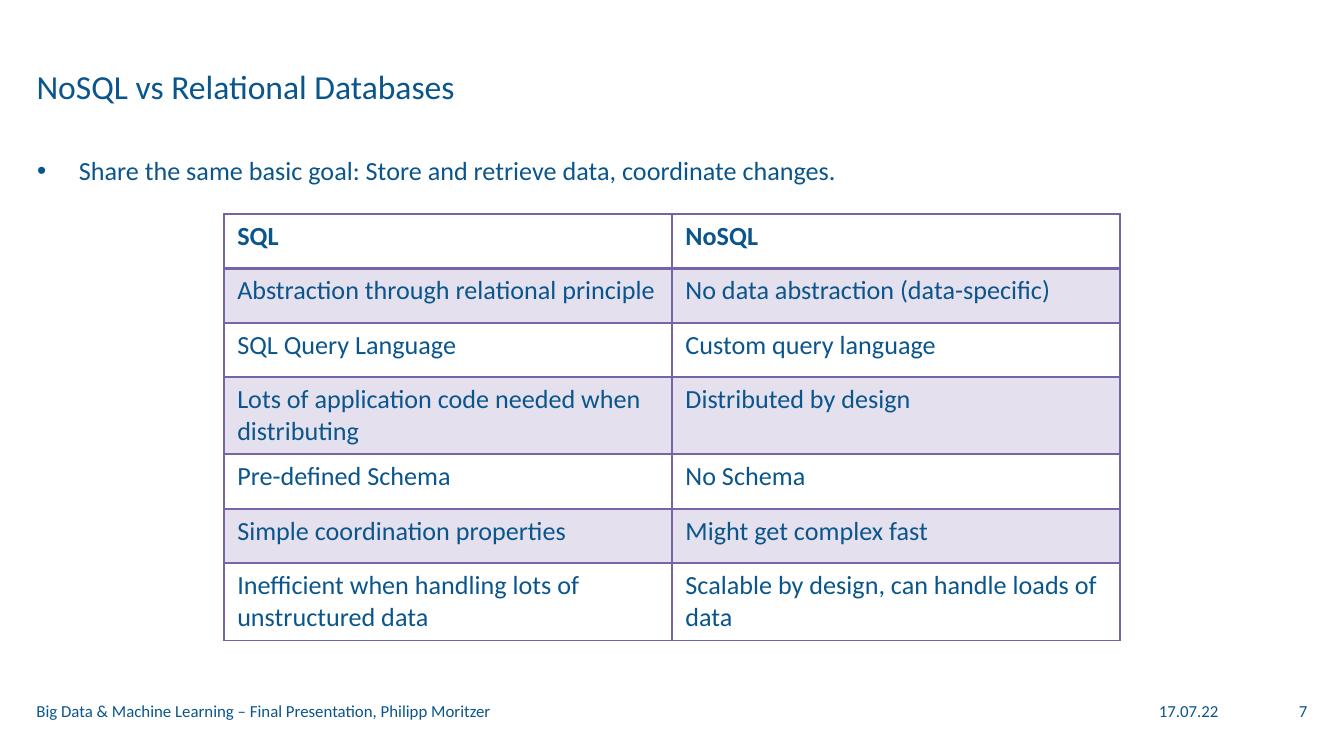
"""Build a slide that compares SQL and NoSQL databases in a table."""
from lxml.etree import SubElement
from pptx import Presentation
from pptx.dml.color import RGBColor
from pptx.enum.text import MSO_ANCHOR as Anchor, MSO_AUTO_SIZE as Auto, PP_ALIGN as Align
from pptx.oxml.ns import qn
from pptx.util import Cm, Pt

BLUE = RGBColor(0x0A, 0x55, 0x8C)
PURPLE = RGBColor(0x78, 0x64, 0xA5)
FONT = "Calibri"

TITLE = "NoSQL vs Relational Databases"
GOAL = "Share the same basic goal: Store and retrieve data, coordinate changes."
ROWS = [
    ("SQL", "NoSQL"),
    ("Abstraction through relational principle", "No data abstraction (data-specific)"),
    ("SQL Query Language", "Custom query language"),
    ("Lots of application code needed when distributing", "Distributed by design"),
    ("Pre-defined Schema", "No Schema"),
    ("Simple coordination properties", "Might get complex fast"),
    ("Inefficient when handling lots of unstructured data",
     "Scalable by design, can handle loads of data"),
]
FOOTER = [
    ("Big Data & Machine Learning – Final Presentation, Philipp Moritzer", 0.69, 18.9, Align.LEFT),
    ("17.07.22", 20.9, 2.13, Align.RIGHT),
    ("7", 23.62, 1.09, Align.RIGHT),
]
FOOT_TOP, FOOT_TALL = 13.23, 0.41
COL_WIDE, ROW_TALL = 8.47, 1.03
GRID_LEFT, GRID_TOP = 4.23, 4.04


def write(frame, text, size=14, bold=False, align=Align.LEFT):
    frame.word_wrap = True
    para = frame.paragraphs[0]
    para.alignment = align
    run = para.add_run()
    run.text = text
    font = run.font
    font.name, font.size, font.bold = FONT, Pt(size), bold
    font.color.rgb = BLUE
    return para


def place(shape, left, top, wide, tall, anchor=Anchor.TOP):
    shape.left, shape.top = Cm(left), Cm(top)
    shape.width, shape.height = Cm(wide), Cm(tall)
    frame = shape.text_frame
    frame.margin_left = frame.margin_right = frame.margin_top = frame.margin_bottom = 0
    frame.vertical_anchor = anchor
    frame.auto_size = Auto.NONE
    return frame


def bullet(para, indent):
    props = para._p.get_or_add_pPr()
    props.set("marL", str(indent))
    props.set("indent", str(-indent))
    SubElement(props, qn("a:buFont"), typeface="Arial")
    SubElement(props, qn("a:buChar"), char="•")


def border(cell, **widths):
    props = cell._tc.get_or_add_tcPr()
    for side, width in widths.items():
        line = SubElement(props, qn(f"a:ln{side}"), w=str(Pt(width)))
        fill = SubElement(line, qn("a:solidFill"))
        SubElement(fill, qn("a:srgbClr"), val=str(PURPLE))


def tint(cell, percent):
    cell.fill.solid()
    cell.fill.fore_color.rgb = PURPLE
    color = cell._tc.tcPr.find(f"{qn('a:solidFill')}/{qn('a:srgbClr')}")
    SubElement(color, qn("a:alpha"), val=str(percent * 1000))


def grid(slide):
    count, cols = len(ROWS), len(ROWS[0])
    table = slide.shapes.add_table(count, cols, Cm(GRID_LEFT), Cm(GRID_TOP),
                                   Cm(cols * COL_WIDE), Cm(count * ROW_TALL)).table
    table.horz_banding = False
    for row, texts in enumerate(ROWS):
        table.rows[row].height = Cm(ROW_TALL)
        for col, text in enumerate(texts):
            cell = table.cell(row, col)
            write(cell.text_frame, text, bold=row == 0)
            border(cell, L=1, R=1, T=2 if row == 1 else 1, B=2 if row == 0 else 1)
            if row % 2:
                tint(cell, 20)
            else:
                cell.fill.background()


def main():
    deck = Presentation()
    deck.slide_width, deck.slide_height = Cm(25.4), Cm(14.29)
    slide = deck.slides.add_slide(deck.slide_layouts[1])
    title, body = slide.placeholders
    write(place(title, 0.69, 1.24, 24, 1.5), TITLE, size=18)
    para = write(place(body, 0.7, 2.92, 24, 10), GOAL)
    para.space_before = Pt(2)
    bullet(para, Cm(0.79))
    grid(slide)
    for text, left, wide, align in FOOTER:
        box = slide.shapes.add_textbox(0, 0, 0, 0)
        frame = place(box, left, FOOT_TOP, wide, FOOT_TALL, Anchor.MIDDLE)
        write(frame, text, size=9, align=align)
    deck.save("out.pptx")


if __name__ == "__main__":
    main()
